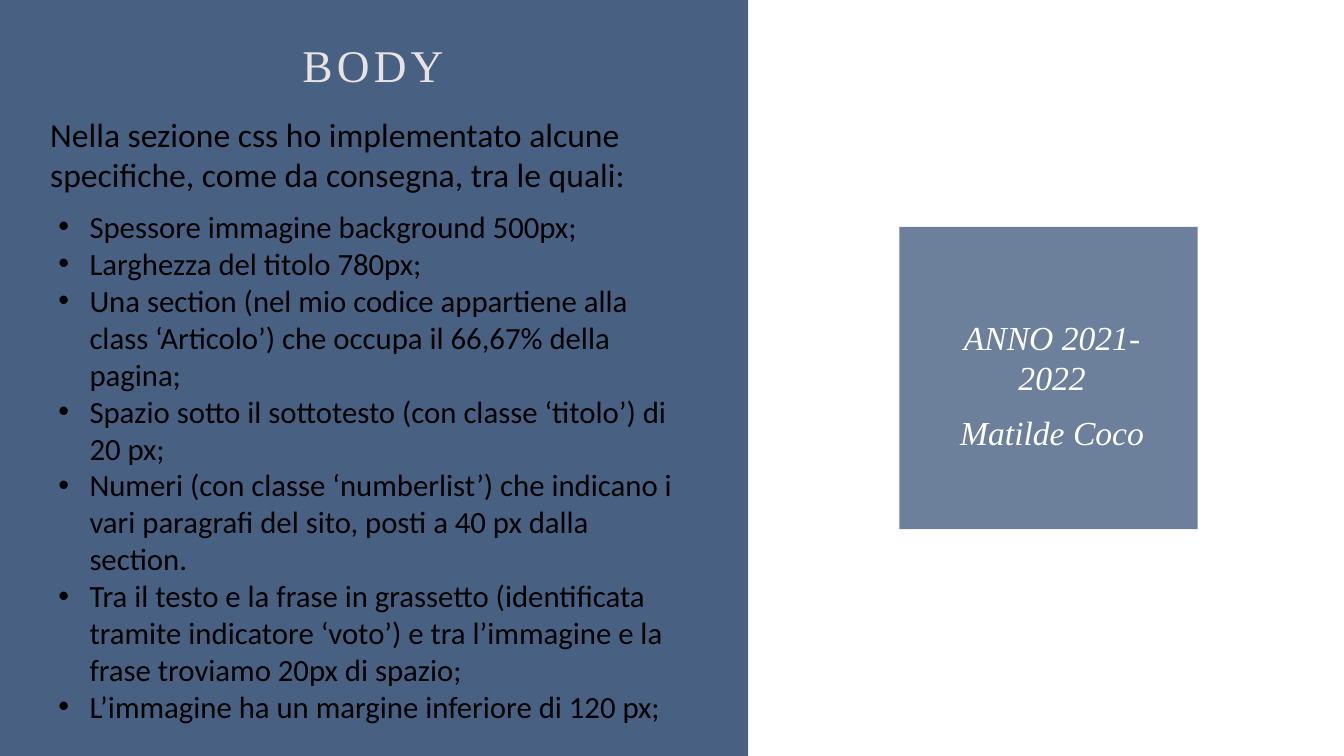
from dataclasses import dataclass

from lxml import etree
from pptx import Presentation
from pptx import util as u
from pptx.dml.color import RGBColor
from pptx.enum import shapes, text
from pptx.oxml.ns import qn


@dataclass(frozen=True)
class Theme:
    blue: str = "486183"
    ivory: str = "E8E3E2"
    white: str = "FFFFFF"
    black: str = "000000"
    serif: str = "Times New Roman"
    sans: str = "Calibri"
    title_size: float = 32.4
    lead_size: int = 24
    list_size: int = 22


LEAD = "Nella sezione css ho implementato alcune specifiche, come da consegna, tra le quali:"
SPECIFICATIONS = [
    "Spessore immagine background 500px;",
    "Larghezza del titolo 780px;",
    "Una section (nel mio codice appartiene alla class ‘Articolo’) che occupa il 66,67% della pagina;",
    "Spazio sotto il sottotesto (con classe ‘titolo’) di 20 px;",
    "Numeri (con classe ‘numberlist’) che indicano i vari paragrafi del sito, posti a 40 px dalla section.",
    "Tra il testo e la frase in grassetto (identificata tramite indicatore ‘voto’) "
    "e tra l’immagine e la frase troviamo 20px di spazio;",
    "L’immagine ha un margine inferiore di 120 px;",
]
CREDITS = ["ANNO 2021-2022", "Matilde Coco"]


def write(frame, lines, *, font, size, color, italic=False, align=text.PP_ALIGN.LEFT,
          anchor=text.MSO_ANCHOR.TOP, before=0, line_spacing=1.0, tracking=0, bullet=None):
    frame.word_wrap = True
    frame.auto_size = text.MSO_AUTO_SIZE.NONE
    frame.vertical_anchor = anchor
    for index, line in enumerate(lines):
        paragraph = frame.add_paragraph() if index else frame.paragraphs[0]
        paragraph.alignment = align
        paragraph.space_before = u.Pt(before)
        paragraph.line_spacing = line_spacing
        run = paragraph.add_run()
        run.text = line
        run.font.name = font
        run.font.size = u.Pt(size)
        run.font.italic = italic
        run.font.color.rgb = RGBColor.from_string(color)
        if tracking:
            run._r.get_or_add_rPr().set("spc", str(tracking * 100))
        if bullet:
            properties = paragraph._p.get_or_add_pPr()
            indent = u.Inches(0.31)
            properties.set("marL", str(indent))
            properties.set("indent", str(-indent))
            etree.SubElement(properties, qn("a:buFont"), typeface="Arial")
            etree.SubElement(properties, qn("a:buChar"), char=bullet)


class SlideBuilder:
    def __init__(self, slide, theme):
        self.slide = slide
        self.theme = theme

    def title(self, words, left, top, width, height):
        heading = self.slide.shapes.title
        heading.left, heading.top = u.Inches(left), u.Inches(top)
        heading.width, heading.height = u.Inches(width), u.Inches(height)
        heading.text_frame.margin_top = 0
        write(heading.text_frame, [words], font=self.theme.serif, size=self.theme.title_size,
              color=self.theme.ivory, align=text.PP_ALIGN.CENTER, line_spacing=0.9, tracking=3)

    def panel(self, left, top, width, height, opacity=100):
        block = self.slide.shapes.add_shape(
            shapes.MSO_SHAPE.RECTANGLE, *map(u.Inches, (left, top, width, height)))
        block.shadow.inherit = False
        block.line.fill.background()
        block.fill.solid()
        block.fill.fore_color.rgb = RGBColor.from_string(self.theme.blue)
        if opacity < 100:
            tint = block._element.spPr.find(qn("a:solidFill"))[0]
            etree.SubElement(tint, qn("a:alpha"), val=str(opacity * 1000))

    def passage(self, lines, left, top, width, height, **style):
        box = self.slide.shapes.add_textbox(*map(u.Inches, (left, top, width, height)))
        write(box.text_frame, lines, **style)


def main():
    deck = Presentation()
    deck.slide_width, deck.slide_height = u.Inches(13.33), u.Inches(7.5)
    theme = Theme()
    page = SlideBuilder(deck.slides.add_slide(deck.slide_layouts[5]), theme)

    page.panel(0, 0, 7.42, 7.5)
    page.panel(8.92, 2.25, 2.96, 3, opacity=80)
    page.title("BODY", 1.04, 0.43, 5.32, 0.93)
    page.passage(CREDITS, 9.32, 2.63, 2.23, 2.37, font=theme.serif, size=theme.lead_size,
                 color=theme.white, italic=True, align=text.PP_ALIGN.CENTER,
                 anchor=text.MSO_ANCHOR.MIDDLE, before=10)
    page.passage([LEAD], 0.4, 1.08, 6.44, 0.91, font=theme.sans, size=theme.lead_size,
                 color=theme.black)
    page.passage(SPECIFICATIONS, 0.48, 2.01, 6.44, 5.28, font=theme.sans,
                 size=theme.list_size, color=theme.black, bullet="•")

    title = page.slide.shapes.title._element
    title.getparent().append(title)
    deck.save("out.pptx")


if __name__ == "__main__":
    main()
